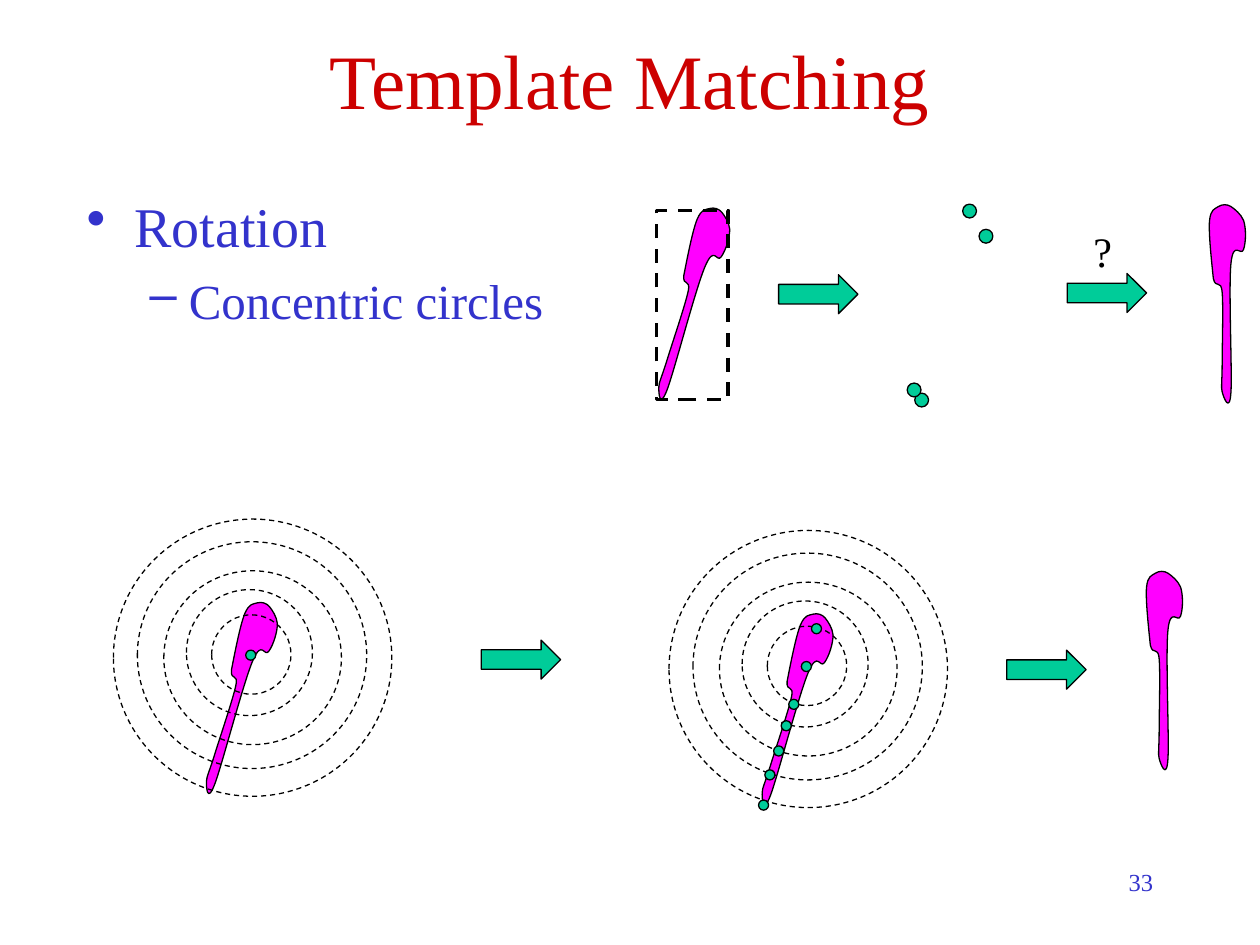
from lxml import etree
from pptx import Presentation
from pptx.dml.color import RGBColor
from pptx.enum.dml import MSO_LINE
from pptx.enum.shapes import MSO_SHAPE
from pptx.enum.text import MSO_ANCHOR, PP_ALIGN
from pptx.oxml.ns import qn
from pptx.util import Inches, Pt

OVAL, ARROW, RECT = MSO_SHAPE.OVAL, MSO_SHAPE.RIGHT_ARROW, MSO_SHAPE.RECTANGLE
DASH = MSO_LINE.DASH
LEFT, CENTER, RIGHT = PP_ALIGN.LEFT, PP_ALIGN.CENTER, PP_ALIGN.RIGHT
TOP, MIDDLE = MSO_ANCHOR.TOP, MSO_ANCHOR.MIDDLE

FONT = "Times New Roman"
RED, BLUE, BLACK, GREEN, PINK = "CC0000", "3333CC", "000000", "00CC99", "FF00FF"
TILT = 17.1

# Hammer outline in hundredths of an inch: start, then three points per curve
HAMMER = [
    (11, 127),
    (11, 113), (12, 81), (11, 70), (10, 59), (6, 68), (4, 59),
    (3, 49), (0, 23), (1, 13), (2, 4), (5, 4), (8, 2),
    (11, 0), (15, 0), (18, 2), (21, 4), (26, 8), (28, 13),
    (30, 19), (30, 30), (28, 36), (26, 42), (20, 28), (18, 47),
    (16, 66), (19, 132), (18, 149), (17, 167), (12, 153), (11, 149),
    (10, 146), (11, 140), (11, 127),
]
# Rings relative to the tilted hammer: left, top, width, height
RINGS = [
    (-0.04, 0.13, 0.63, 0.63), (-0.24, -0.07, 1, 1), (-0.42, -0.22, 1.41, 1.38),
    (-0.63, -0.45, 1.82, 1.8), (-0.82, -0.63, 2.21, 2.2),
]


def rgb(color):
    return RGBColor.from_string(color)


def style(sp, fill=None, width=0.75, dash=None):
    sp.shadow.inherit = False
    if fill:
        sp.fill.solid()
        sp.fill.fore_color.rgb = rgb(fill)
    else:
        sp.fill.background()
    sp.line.color.rgb = rgb(BLACK)
    sp.line.width = Pt(width)
    if dash:
        sp.line.dash_style = dash


def add_shape(s, kind, x, y, w, h, **look):
    sp = s.shapes.add_shape(kind, Inches(x), Inches(y), Inches(w), Inches(h))
    style(sp, **look)


def add_dot(s, x, y, size=0.08):
    add_shape(s, OVAL, x, y, size, size, fill=GREEN)


def add_arrow(s, x, y):
    add_shape(s, ARROW, x, y, 0.63, 0.31, fill=GREEN)


def add_hammer(s, x, y, rotation=0):
    builder = s.shapes.build_freeform(*HAMMER[0], scale=Inches(0.01))
    builder.add_line_segments(HAMMER[1:], close=True)
    sp = builder.convert_to_shape(Inches(x), Inches(y))
    # Turn every three line segments into one Bezier curve
    segments = list(sp.element.iter(qn("a:lnTo")))
    for i in range(0, len(segments), 3):
        curve = etree.Element(qn("a:cubicBezTo"))
        segments[i].addprevious(curve)
        for segment in segments[i:i + 3]:
            curve.append(segment[0])
            segment.getparent().remove(segment)
    sp.rotation = rotation
    style(sp, fill=PINK)


def add_target(s, x, y):
    add_hammer(s, x, y, TILT)
    add_dot(s, x + 0.23, y + 0.41)
    for dx, dy, w, h in RINGS:
        add_shape(s, OVAL, x + dx, y + dy, w, h, dash=DASH)


def format_paragraph(p, size, color, align=LEFT):
    p.alignment = align
    for r in p.runs:
        r.font.name = FONT
        r.font.size = Pt(size)
        r.font.color.rgb = rgb(color)


def add_text(s, x, y, w, h, text, size, color, align=LEFT, anchor=TOP, wrap=True):
    tf = s.shapes.add_textbox(Inches(x), Inches(y), Inches(w), Inches(h)).text_frame
    tf.word_wrap = wrap
    tf.vertical_anchor = anchor
    tf.text = text
    for p in tf.paragraphs:
        format_paragraph(p, size, color, align)
    return tf


def set_bullet(p, char, level, margin, indent, before):
    p.level = level
    p.space_before = Pt(before)
    pPr = p._p.get_or_add_pPr()
    pPr.set("marL", str(Inches(margin)))
    pPr.set("indent", str(Inches(indent)))
    color = etree.SubElement(pPr, qn("a:buClr"))
    etree.SubElement(color, qn("a:srgbClr"), val=BLUE)
    etree.SubElement(pPr, qn("a:buChar"), char=char)


def main():
    prs = Presentation()
    prs.slide_width, prs.slide_height = Inches(10), Inches(7.5)
    s = prs.slides.add_slide(prs.slide_layouts[6])

    # Title and bullets
    add_text(s, 0.75, 0, 8.5, 1.25, "Template Matching", 44, RED, CENTER, MIDDLE)
    tf = add_text(s, 0.59, 1.47, 4.17, 1.73, "Rotation\nConcentric circles", 32, BLUE)
    topic, detail = tf.paragraphs
    format_paragraph(detail, 28, BLUE)
    set_bullet(topic, "•", 0, 0.38, -0.38, 8)
    set_bullet(detail, "–", 1, 0.81, -0.31, 7)

    # Bottom row: rings, sampled points, upright hammer
    add_target(s, 1.72, 4.75)
    add_arrow(s, 3.82, 5.08)
    add_target(s, 6.13, 4.84)
    for x, y in [(6.26, 5.55), (6.14, 5.92), (6.2, 5.72), (6.07, 6.11),
                 (6.02, 6.35), (6.44, 4.95)]:
        add_dot(s, x, y)
    add_arrow(s, 7.99, 5.16)
    add_hammer(s, 9.09, 4.53)

    # Top row: bounding box, corner points, upright hammer
    add_hammer(s, 5.31, 1.62, TILT)
    add_shape(s, RECT, 5.21, 1.67, 0.57, 1.5, width=2, dash=DASH)
    add_arrow(s, 6.18, 2.18)
    for x, y in [(7.64, 1.62), (7.26, 3.12), (7.77, 1.82), (7.2, 3.04)]:
        add_dot(s, x, y, 0.11)
    add_arrow(s, 8.47, 2.17)
    add_hammer(s, 9.59, 1.62)
    add_text(s, 8.58, 1.74, 0.35, 0.5, "?", 24, BLACK, wrap=False)

    # Slide number
    add_text(s, 7.17, 6.83, 2.08, 0.5, "33", 14, BLUE, RIGHT)

    prs.save("out.pptx")


if __name__ == "__main__":
    main()
